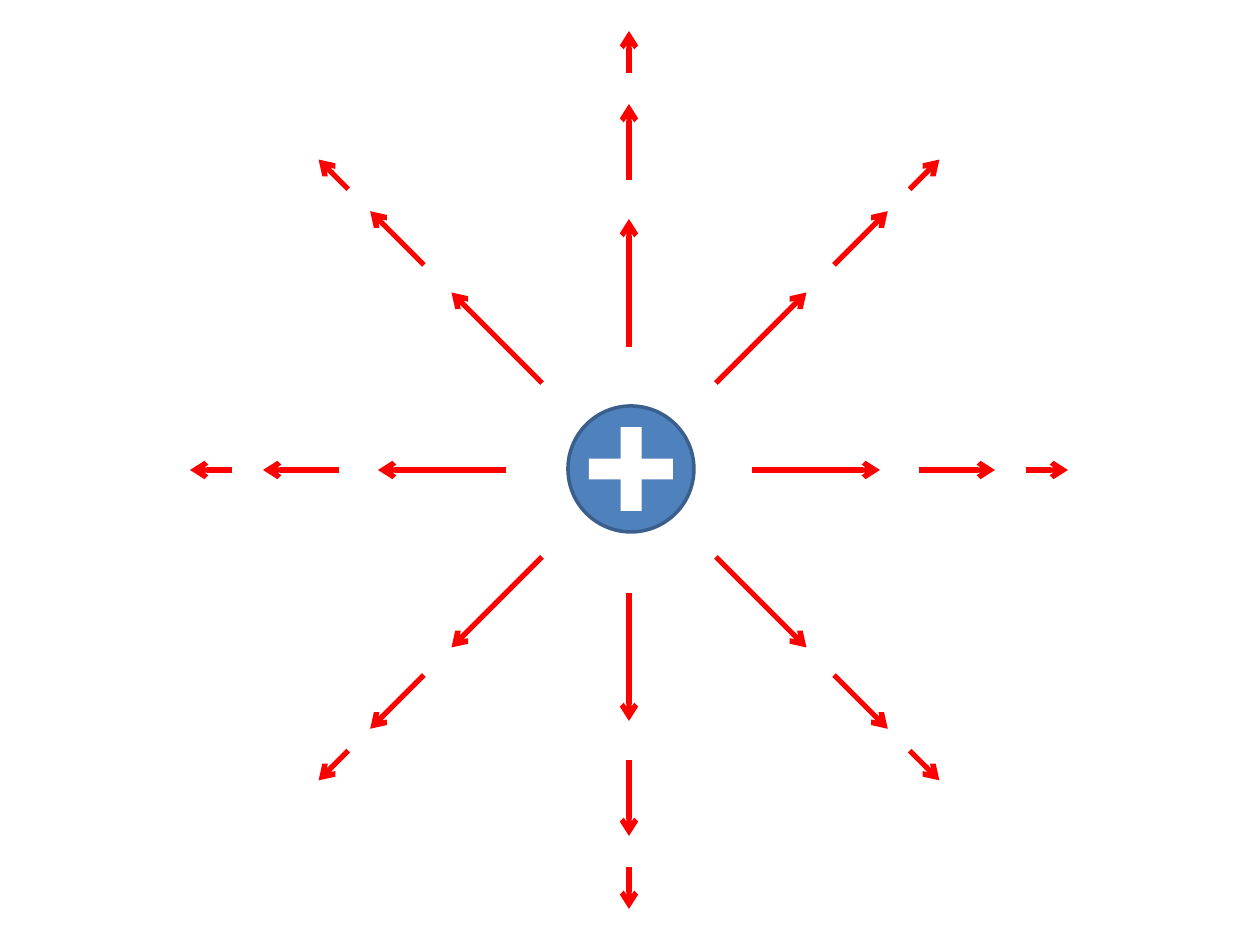
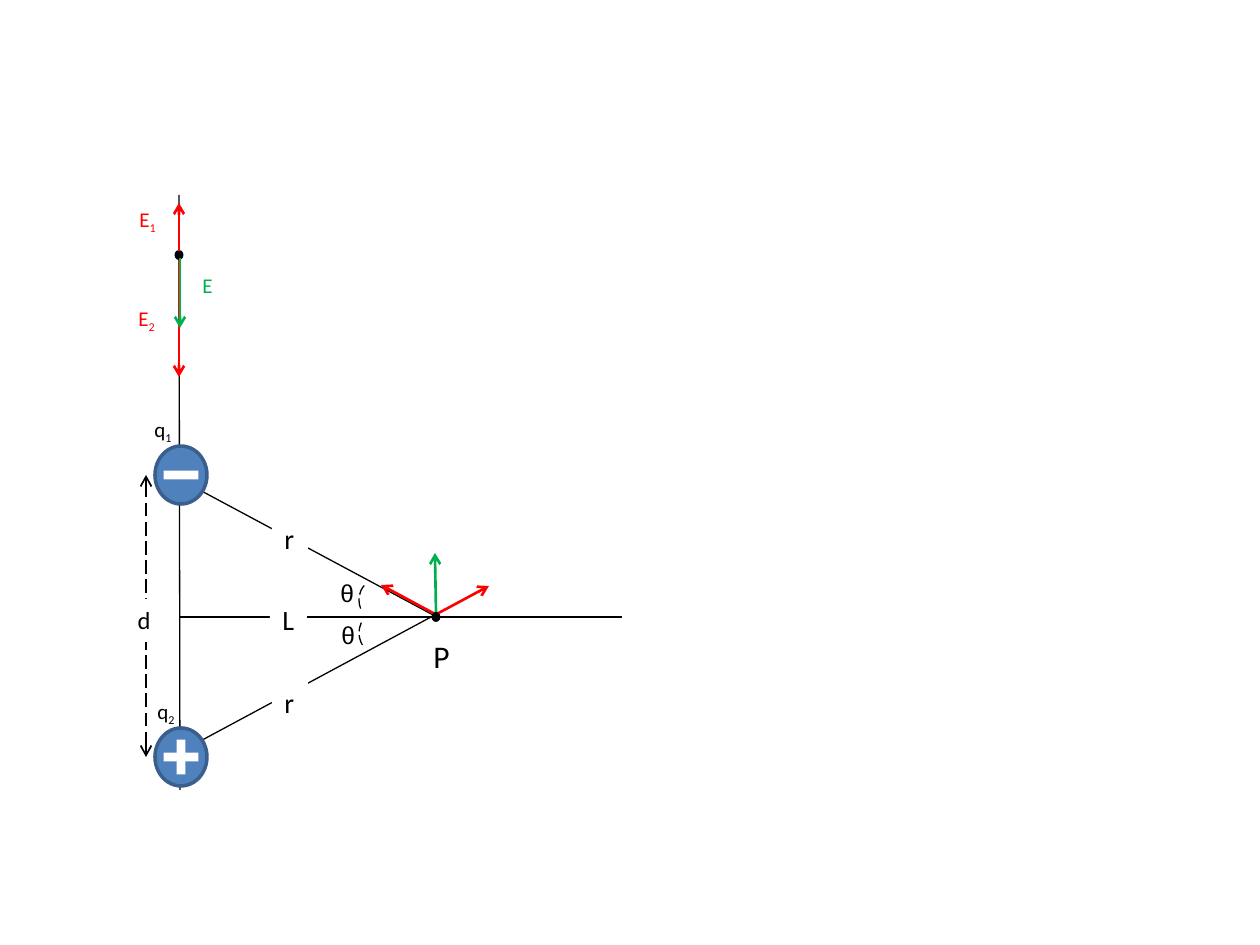
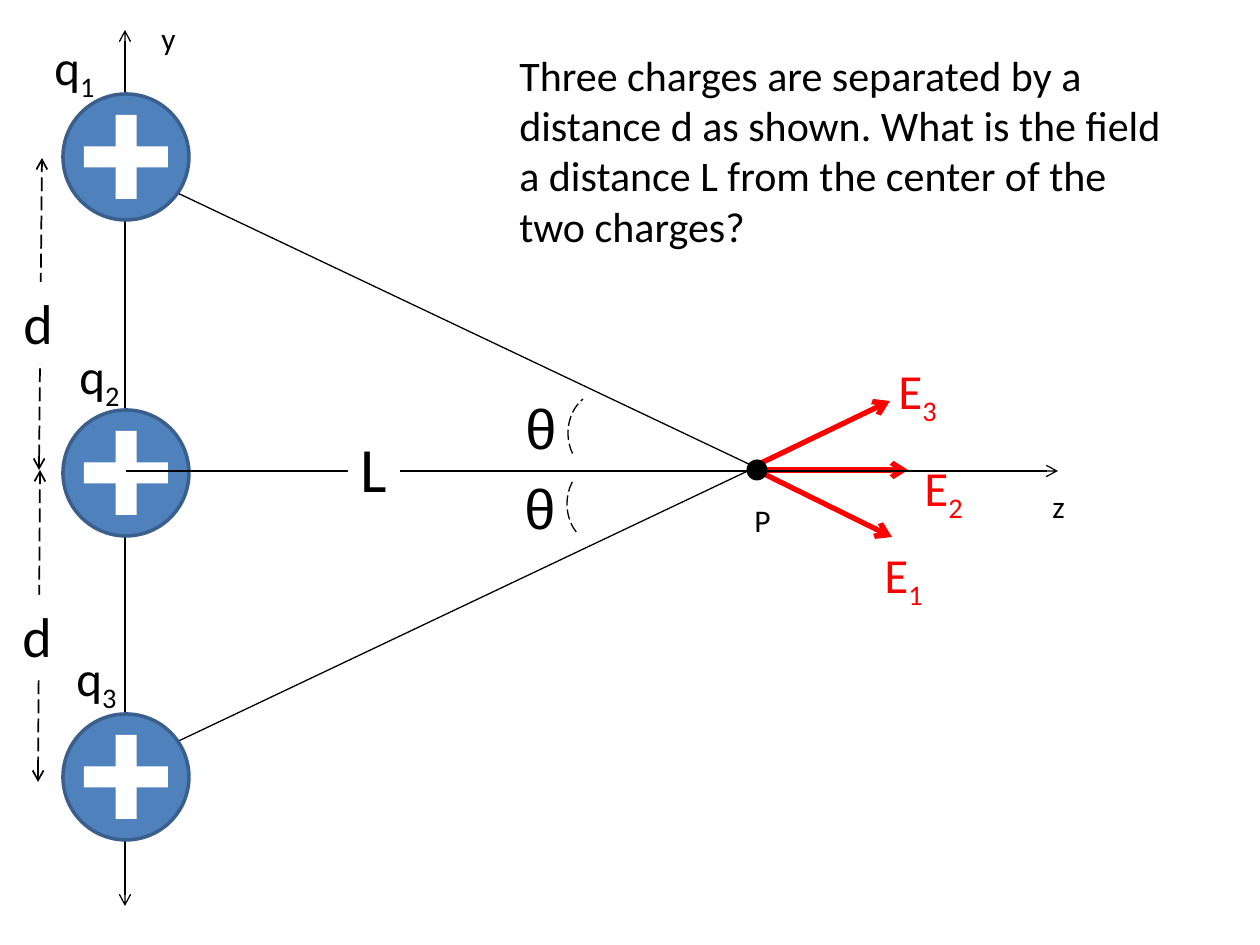
from dataclasses import dataclass
from math import cos, radians, sin
from typing import Any

from lxml.etree import SubElement
from pptx import Presentation
from pptx.dml.color import RGBColor
from pptx.enum.dml import MSO_LINE
from pptx.enum.shapes import MSO_CONNECTOR, MSO_SHAPE
from pptx.enum.text import MSO_AUTO_SIZE
from pptx.oxml.ns import qn
from pptx.util import Emu, Pt

PIXEL = 914400 // 126
BLACK, WHITE, RED, GREEN = "000000", "FFFFFF", "FF0000", "00B050"
CHARGE_FILL, CHARGE_LINE = "4F81BD", "3A5F8C"
THIN, DIMENSION, MEDIUM, THICK = 0.75, 1, 1.5, 3


def px(value):
    return Emu(round(value * PIXEL))


def color(value):
    return RGBColor.from_string(value)


@dataclass
class Region:
    """Part of a slide; every position is relative to its left and top."""
    slide: Any
    left: int = 0
    top: int = 0

    def box(self, left, top, width, height):
        return px(self.left + left), px(self.top + top), px(width), px(height)

    def line(self, start, end, stroke=BLACK, width=THIN, dashed=False, heads=""):
        """Draw a line; heads may name headEnd (start) and tailEnd (end)."""
        points = [px(value) for x, y in (start, end)
                  for value in (self.left + x, self.top + y)]
        connector = self.slide.shapes.add_connector(MSO_CONNECTOR.STRAIGHT, *points)
        connector.line.color.rgb = color(stroke)
        connector.line.width = Pt(width)
        if dashed:
            connector.line.dash_style = MSO_LINE.LONG_DASH
        properties = connector._element.spPr
        for head in heads.split():
            SubElement(properties.find(qn("a:ln")), qn("a:" + head), type="arrow")
        SubElement(properties, qn("a:effectLst"))

    def arrow(self, start, end, stroke=RED, width=THICK):
        self.line(start, end, stroke, width, heads="tailEnd")

    def shape(self, kind, box, fill=None, stroke=None, width=2):
        shape = self.slide.shapes.add_shape(kind, *self.box(*box))
        shape.shadow.inherit = False
        if fill:
            shape.fill.solid()
            shape.fill.fore_color.rgb = color(fill)
        else:
            shape.fill.background()
        if stroke:
            shape.line.color.rgb = color(stroke)
            shape.line.width = Pt(width)
        else:
            shape.line.fill.background()
        return shape

    def text(self, text, box, size=18, ink=BLACK, font="Calibri",
             subscript="", fill=None, wrap=False):
        label = self.slide.shapes.add_textbox(*self.box(*box))
        if fill:
            label.fill.solid()
            label.fill.fore_color.rgb = color(fill)
        frame = label.text_frame
        frame.word_wrap = wrap
        frame.auto_size = MSO_AUTO_SIZE.SHAPE_TO_FIT_TEXT
        for content in filter(None, (text, subscript)):
            run = frame.paragraphs[0].add_run()
            run.text = content
            run.font.name = font
            run.font.size = Pt(size)
            run.font.color.rgb = color(ink)
            if content is subscript:
                run._r.get_or_add_rPr().set("baseline", "-25000")

    def charge(self, left, top, width, height, positive=True):
        """A ball with a plus or minus sign in its middle."""
        self.shape(MSO_SHAPE.OVAL, (left, top, width, height), CHARGE_FILL, CHARGE_LINE)
        length, thickness = width * 2 / 3, width / 6
        bar = (left + (width - length) / 2, top + (height - thickness) / 2,
               length, thickness)
        for angle in (0, 90) if positive else (0,):
            self.shape(MSO_SHAPE.RECTANGLE, bar, WHITE).rotation = angle

    def dot(self, width, height):
        """A black dot centred on the region's origin."""
        self.shape(MSO_SHAPE.OVAL, (-width / 2, -height / 2, width, height), BLACK)

    def angle_mark(self, label_box, arc_box, size, degrees):
        """Theta beside a dashed arc that runs between two angles."""
        self.text("θ", label_box, size=size, font="Arial", wrap=True)
        arc = self.shape(MSO_SHAPE.ARC, arc_box, stroke=BLACK, width=THIN)
        arc.line.dash_style = MSO_LINE.LONG_DASH
        for index, degree in enumerate(degrees):
            arc.adjustments[index] = degree * 0.6

    def dimension(self, start, end, label_box, size):
        """A dashed double arrow with the distance d written over it."""
        self.line(start, end, width=DIMENSION, dashed=True, heads="headEnd tailEnd")
        self.text("d", label_box, size=size, fill=WHITE, wrap=True)


LOWER_ARC, UPPER_ARC = (134.1, 219.04), (147.11, 237.76)


def radial_field(region):
    """Eight rays of three shrinking arrows around one charge."""
    region.charge(-61, -64, 126, 126)
    for angle in range(0, 360, 45):
        across, down = cos(radians(angle)), sin(radians(angle))
        for near, far in ((123, 251), (290, 366), (397, 439)):
            region.arrow((near * across, near * down), (far * across, far * down))


def dipole(region):
    """Two opposite charges, their distances and angles."""
    # Construction lines
    region.line((309, 421), (55, 285))
    region.line((307, 421), (54, 557))
    region.line((54, 422), (496, 422))
    region.line((53, 0), (54, 595))
    # Charges
    region.charge(29, 533, 52, 58)
    region.charge(29, 251, 52, 58, positive=False)
    for number, left, top in (("1", 16, 215), ("2", 19, 497)):
        region.text("q", (left, top, 44, 38), size=12, subscript=number)
    # Distances
    region.dimension((20, 562), (20, 280), (6, 404, 18, 43), 14)
    region.text("L", (144, 401, 37, 47), size=16, fill=WHITE)
    for top in (484, 320):
        region.text("r", (146, top, 36, 47), size=16, fill=WHITE)
    # Angles
    region.angle_mark((203, 419, 30, 43), (233, 419, 30, 38), 14, LOWER_ARC)
    region.angle_mark((202, 377, 30, 43), (233, 386, 30, 38), 14, UPPER_ARC)


def axial_field(region):
    """Field vectors at a point on the axis of the dipole."""
    region.arrow((0, 5), (0, 122), width=MEDIUM)
    region.dot(9, 10)
    region.arrow((0, -4), (0, -52), width=MEDIUM)
    region.arrow((1, 3), (1, 73), GREEN, MEDIUM)
    region.text("E", (-53, 44, 43, 38), size=12, ink=RED, subscript="2")
    region.text("E", (-52, -55, 43, 38), size=12, ink=RED, subscript="1")
    region.text("E", (11, 11, 35, 38), size=12, ink=GREEN)


def equatorial_field(region):
    """Field vectors at P, level with the middle of the dipole."""
    region.arrow((-1, -2), (53, -31), width=MEDIUM)
    region.arrow((-1, -3), (-55, -32), width=MEDIUM)
    region.arrow((0, -5), (-1, -64), GREEN, MEDIUM)
    region.dot(9, 10)
    region.text("P", (-15, 14, 42, 50))


def three_charges(region):
    """A column of equal charges on the y axis."""
    # Axis and lines of sight
    region.line((125, 30), (125, 906), heads="headEnd tailEnd")
    region.line((755, 467), (129, 170))
    region.line((752, 469), (126, 766))
    # Charges
    for top in (714, 94, 410):
        region.charge(63, top, 126, 126)
    for number, left, top in (("1", 42, 30), ("3", 64, 641), ("2", 67, 339)):
        region.text("q", (left, top, 68, 72), size=28, subscript=number)
    # Distances and angles
    region.dimension((39, 470), (42, 158), (11, 282, 42, 81), 32)
    region.dimension((38, 782), (40, 470), (10, 595, 42, 81), 32)
    region.angle_mark((512, 467, 73, 81), (567, 462, 73, 84), 32, LOWER_ARC)
    region.angle_mark((513, 387, 73, 81), (568, 391, 73, 84), 32, UPPER_ARC)


def three_fields(region):
    """Field vectors of the three charges at P."""
    region.arrow((-2, -4), (133, -69))
    region.arrow((-1, 0), (135, 67))
    region.arrow((-5, 0), (151, 0))
    region.dot(21, 21)
    for number, left, top in (("3", 129, -116), ("2", 155, -19), ("1", 115, 68)):
        region.text("E", (left, top, 67, 72), size=28, ink=RED, subscript=number)
    region.text("P", (-15, 25, 42, 50))


def axes_and_question(region):
    """The z axis, the axis names and the question."""
    region.line((126, 471), (1058, 471), heads="tailEnd")
    region.text("y", (149, 13, 40, 50))
    region.text("z", (1040, 481, 38, 50))
    region.text("L", (348, 423, 52, 89), size=36, fill=WHITE)
    region.text("Three charges are separated by a distance d as shown. What is the "
                "field a distance L from the center of the two charges?",
                (507, 43, 685, 217), size=24, wrap=True)


presentation = Presentation()
presentation.slide_width, presentation.slide_height = px(1260), px(945)
blank = presentation.slide_layouts[6]

# Each slide is a list of regions and their origins
slides = (
    ((radial_field, 629, 470),),
    ((dipole, 126, 195), (axial_field, 179, 255), (equatorial_field, 436, 617)),
    ((three_charges, 0, 0), (three_fields, 757, 470), (axes_and_question, 0, 0)),
)
for regions in slides:
    slide = presentation.slides.add_slide(blank)
    for draw, left, top in regions:
        draw(Region(slide, left, top))

presentation.save("out.pptx")
